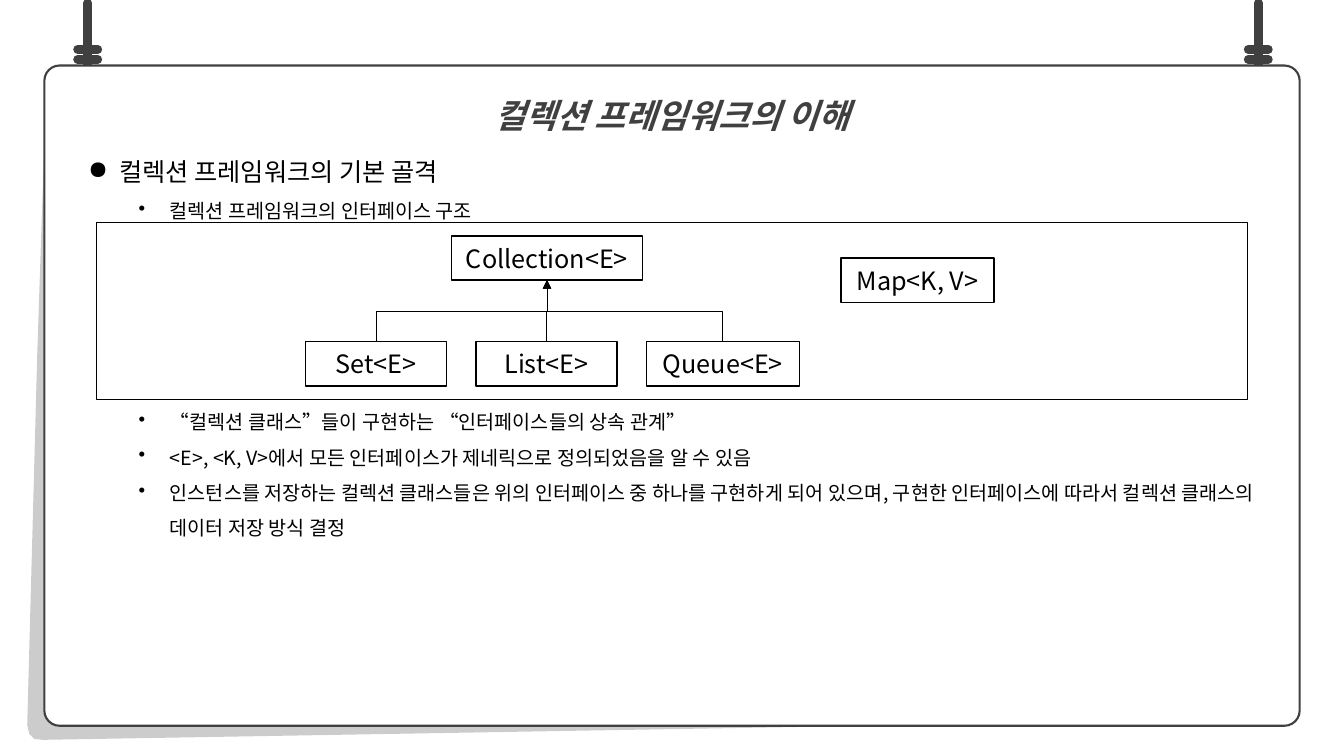
"""Builds the slide on the interfaces of the collection framework."""
import pptx
import pptx.util
import pptx.dml.color
import pptx.enum.shapes
import pptx.enum.text
import pptx.oxml.ns
import lxml.etree

Inches, Pt = pptx.util.Inches, pptx.util.Pt
KIND = pptx.enum.shapes.MSO_SHAPE
JOIN = pptx.enum.shapes.MSO_CONNECTOR
ALIGN = pptx.enum.text.PP_ALIGN
ANCHOR = pptx.enum.text.MSO_ANCHOR
FONT = "Noto Sans CJK KR"
INK = {"black": "000000", "gray": "404040", "white": "FFFFFF"}
ITEMS = [
    ("컬렉션 프레임워크의 기본 골격", 0, 0),
    ("컬렉션 프레임워크의 인터페이스 구조", 1, 0),
    ("“컬렉션 클래스”들이 구현하는 “인터페이스들의 상속 관계”", 1, 126),
    ("<E>, <K, V>에서 모든 인터페이스가 제네릭으로 정의되었음을 알 수 있음", 1, 0),
    ("인스턴스를 저장하는 컬렉션 클래스들은 위의 인터페이스 중 하나를 구현하게 되어 있으며, "
     "구현한 인터페이스에 따라서 컬렉션 클래스의 데이터 저장 방식 결정", 1, 0),
]
LEVELS = [("●", 18, 0.31), ("•", 14, 0.81)]


def tint(name):
    return pptx.dml.color.RGBColor.from_string(INK[name])


def node(base, tag, **attrs):
    return lxml.etree.SubElement(base, pptx.oxml.ns.qn(tag), attrs)


def write(para, text, size, color="black", bold=False, slant=False):
    run = para.add_run()
    run.text = text
    font = run.font
    font.name, font.size, font.bold, font.italic = FONT, Pt(size), bold, slant
    font.color.rgb = tint(color)
    node(font._element, "a:ea", typeface=FONT)


def block(slide, kind, box, weight, color="black", fill=None):
    form = slide.shapes.add_shape(kind, *map(Inches, box))
    form.shadow.inherit = False
    form.line.color.rgb = tint(color)
    form.line.width = Pt(weight)
    if fill:
        form.fill.solid()
        form.fill.fore_color.rgb = tint(fill)
    else:
        form.fill.background()
    return form


def link(slide, kind, start, end, weight, color):
    line = slide.shapes.add_connector(kind, *map(Inches, start + end))
    line.line.color.rgb = tint(color)
    line.line.width = Pt(weight)
    node(line._element.spPr, "a:effectLst")
    return line


def shade(slide, box):
    left, top, width, height = box
    spots = [(0.18, 0), (0.1, 2.4), (0, 6.09), (0.02, 6.18), (0.07, 6.23),
             (0.15, height), (width, 6.03), (2.05, 3.49)]
    spots = [(Inches(left + x), Inches(top + y)) for x, y in spots]
    pen = slide.shapes.build_freeform(*spots[0])
    pen.add_line_segments(spots[1:])
    form = pen.convert_to_shape()
    form.shadow.inherit = False
    form.line.fill.background()
    form.fill.solid()
    form.fill.fore_color.rgb = tint("black")
    tone = form._element.spPr.find(".//" + pptx.oxml.ns.qn("a:srgbClr"))
    node(tone, "a:alpha", val="20000")


def rope(slide, box):
    left, top, width, height = box
    mid, right = left + width / 2, left + width
    ends = [((mid, top + height), (mid, top))]
    ends += [((right, top + drop), (left, top + drop)) for drop in (0.56, 0.46)]
    for start, end in ends:
        line = link(slide, JOIN.STRAIGHT, start, end, 6.25, "gray")
        line.line._ln.set("cap", "rnd")


def card(slide, box):
    form = block(slide, KIND.ROUNDED_RECTANGLE, box, 1.5, "gray", "white")
    form.adjustments[0] = 0.023
    frame = form.text_frame
    frame.word_wrap = True
    frame.vertical_anchor = ANCHOR.TOP
    frame.margin_left, frame.margin_top = Inches(0.39), Inches(0.71)
    frame.margin_right = frame.margin_bottom = 0
    for spot, (text, level, gap) in enumerate(ITEMS):
        para = frame.add_paragraph() if spot else frame.paragraphs[0]
        mark, size, inset = LEVELS[level]
        para.level, para.alignment = level, ALIGN.LEFT
        para.line_spacing, para.space_before = 1.5, Pt(gap)
        props = para._p.get_or_add_pPr()
        props.set("marL", str(Inches(inset)))
        props.set("indent", str(-Inches(0.31)))
        node(props, "a:buChar", char=mark)
        write(para, text, size)


def title(slide, box):
    frame = slide.shapes.add_textbox(*map(Inches, box)).text_frame
    frame.word_wrap = True
    para = frame.paragraphs[0]
    para.alignment, para.line_spacing = ALIGN.CENTER, 1.5
    write(para, "컬렉션 프레임워크의 이해", 24, "gray", True, True)


def label(slide, text, box):
    form = block(slide, KIND.RECTANGLE, box, 1)
    frame = form.text_frame
    frame.word_wrap = False
    frame.vertical_anchor = ANCHOR.MIDDLE
    para = frame.paragraphs[0]
    para.alignment = ALIGN.CENTER
    write(para, text, 18)


def branch(slide, start, end):
    """Elbow that leaves upward: laid out sideways, then turned by 90 degrees."""
    mid = [(a + b) / 2 for a, b in zip(start, end)]
    across, down = [(a - b) / 2 for a, b in zip(start, end)]
    line = link(slide, JOIN.ELBOW, (mid[0] + down, mid[1] - across),
                (mid[0] - down, mid[1] + across), 0.5, "black")
    line._element.spPr.xfrm.set("rot", "5400000")
    node(line.line._ln, "a:tailEnd", type="triangle")


def tree(slide, box):
    left, top, width, height = box
    tall, low = 0.44, top + 1.18
    root = (left + 3.52, top + 0.13, 1.89, tall)
    peak = (root[0] + root[2] / 2, root[1] + tall)
    side = left + 2.07
    for text, wide in (("Set<E>", 1.4), ("List<E>", 1.4), ("Queue<E>", 1.52)):
        branch(slide, (side + wide / 2, low), peak)
        label(slide, text, (side, low, wide, tall))
        side += wide + 0.29
    label(slide, "Collection<E>", root)
    label(slide, "Map<K, V>", (left + 7.38, top + 0.35, 1.52, tall))
    block(slide, KIND.RECTANGLE, box, 0.75)


deck = pptx.Presentation()
deck.slide_width, deck.slide_height = Inches(13.33), Inches(7.5)
page = deck.slides.add_slide(deck.slide_layouts[6])
shade(page, (0.27, 1.1, 12.48, 6.24))
for edge in (0.77, 12.38):
    rope(page, (edge, 0.03, 0.2, 0.79))
card(page, (0.44, 0.65, 12.45, 6.55))
title(page, (3.33, 0.69, 6.67, 0.63))
tree(page, (0.96, 2.21, 11.41, 1.75))
deck.save("out.pptx")
